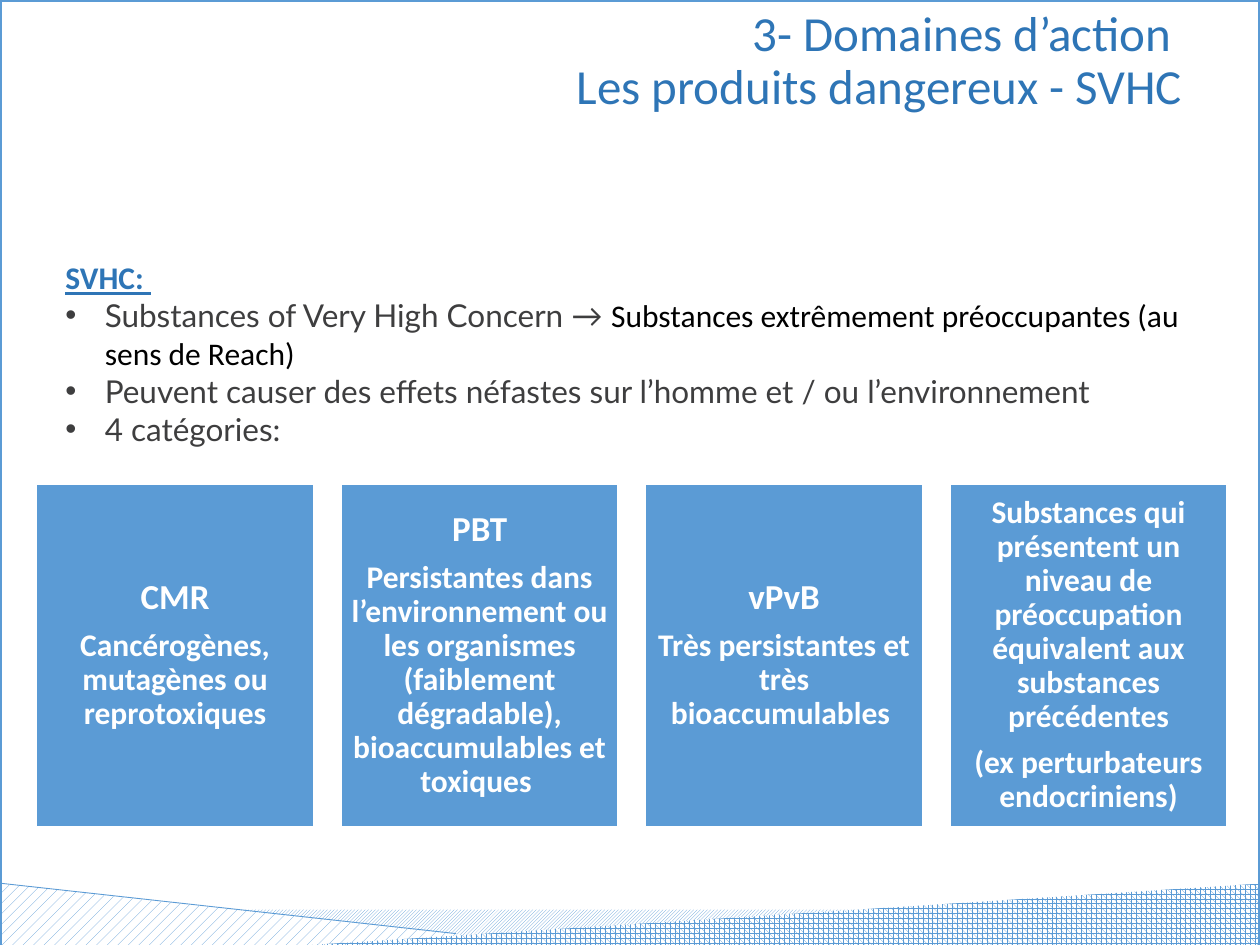
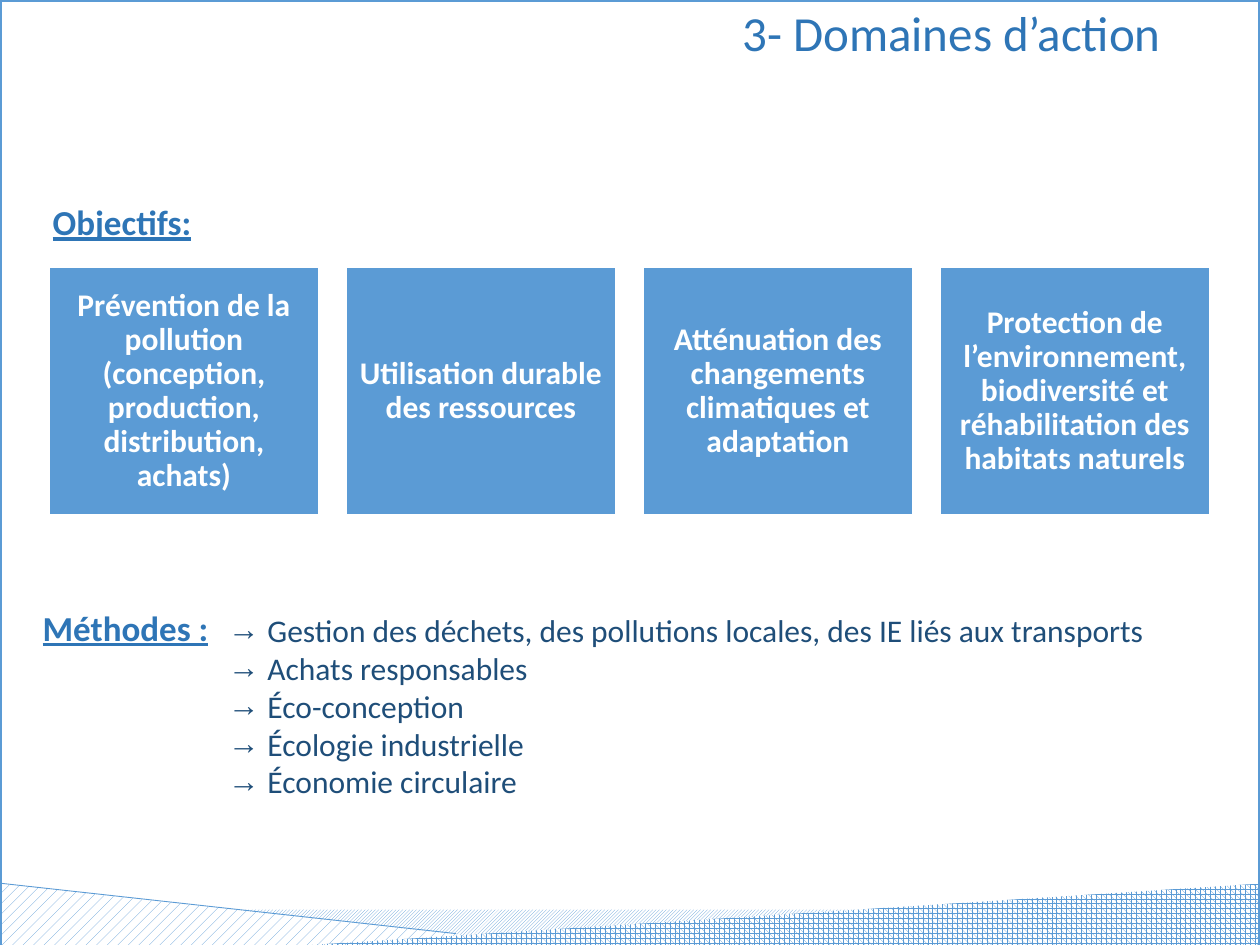
from lxml import etree
from pptx import Presentation
from pptx.dml.color import RGBColor
from pptx.enum.dml import MSO_PATTERN
from pptx.enum.shapes import MSO_CONNECTOR, MSO_SHAPE
from pptx.enum.text import MSO_ANCHOR, MSO_AUTO_SIZE, PP_ALIGN
from pptx.oxml.ns import qn
from pptx.util import Pt

RECT = MSO_SHAPE.RECTANGLE
STRAIGHT = MSO_CONNECTOR.STRAIGHT
UP_DIAGONAL = MSO_PATTERN.LIGHT_UPWARD_DIAGONAL
DOTS = MSO_PATTERN.PERCENT_20
SPHERES = MSO_PATTERN.SPHERE
TOP, MIDDLE = MSO_ANCHOR.TOP, MSO_ANCHOR.MIDDLE
NO_FIT = MSO_AUTO_SIZE.NONE
LEFT, CENTER, RIGHT = PP_ALIGN.LEFT, PP_ALIGN.CENTER, PP_ALIGN.RIGHT

BLUE = RGBColor(0x5B, 0x9B, 0xD5)
TITLE_BLUE = RGBColor(0x2E, 0x75, 0xB6)
DARK_BLUE = RGBColor(0x1F, 0x4E, 0x79)
GREY = RGBColor(0x3E, 0x3E, 0x3F)
BLACK = RGBColor(0, 0, 0)
WHITE = RGBColor(0xFF, 0xFF, 0xFF)
FONT, LIST_FONT = "Calibri", "Lato"
INDENT = Pt(22.5)


def set_bullet(p, char):
    """Give a paragraph a hanging bullet, or none when char is None."""
    pPr = p._p.get_or_add_pPr()
    indent = INDENT if char else 0
    pPr.set("marL", str(indent))
    pPr.set("indent", str(-indent))
    if char:
        etree.SubElement(pPr, qn("a:buFont")).set("typeface", "Arial")
        etree.SubElement(pPr, qn("a:buChar")).set("char", char)
    else:
        etree.SubElement(pPr, qn("a:buNone"))


def format_paragraph(p, size, color, font=FONT, align=LEFT, spacing=1.0,
                     after=0, bold=False, underline=False):
    p.alignment = align
    p.line_spacing = spacing
    p.space_before = Pt(0)
    p.space_after = Pt(after)
    for r in p.runs:
        r.font.size = Pt(size)
        r.font.name = font
        r.font.color.rgb = color
        r.font.bold = bold
        r.font.underline = underline


prs = Presentation()
prs.slide_width, prs.slide_height = Pt(720), Pt(540)

# Title, its box, list box, cards (left, top, width, height, step) and texts
SLIDES = [
    ("3- Domaines d’action \vLes produits dangereux - SVHC",
     (49.7, 1.4, 632.9, 88.6), (30.2, 144, 660.2, 116.6),
     (20.9, 276.5, 158.4, 195.8, 174), 5.6,
     [[("CMR", 20), ("Cancérogènes, mutagènes ou reprotoxiques", 18)],
      [("PBT", 20), ("Persistantes dans l’environnement ou les organismes "
                     "(faiblement dégradable), bioaccumulables et toxiques ", 18)],
      [("vPvB", 20), ("Très persistantes et très bioaccumulables ", 18)],
      [("Substances qui présentent un niveau de préoccupation équivalent "
        "aux substances précédentes", 18),
       ("(ex perturbateurs endocriniens)", 18)]]),
    ("3- Domaines d’action",
     (49.7, 1.4, 620.6, 83.5), (123.1, 345.6, 596.9, 116.6),
     (28.1, 152.6, 154.1, 141.8, 169.7), 5.2,
     [[("Prévention de la pollution (conception, production, "
        "distribution, achats)", 18)],
      [("Utilisation durable des ressources", 18)],
      [("Atténuation des changements climatiques et adaptation", 18)],
      [("Protection de l’environnement, biodiversité et réhabilitation "
        "des habitats naturels", 18)]]),
]

bodies = []
for title, title_box, list_box, grid, inset, cards in SLIDES:
    s = prs.slides.add_slide(prs.slide_layouts[1])
    body = s.placeholders[1]
    for sp, box in ((s.shapes.title, title_box), (body, list_box)):
        sp.left, sp.top, sp.width, sp.height = [Pt(v) for v in box]
        sp.text_frame.auto_size = NO_FIT
        sp.text_frame.vertical_anchor = TOP
    s.shapes.title.text_frame.text = title
    format_paragraph(s.shapes.title.text_frame.paragraphs[0], 28, TITLE_BLUE,
                     align=RIGHT, spacing=0.9)
    bodies.append(body)

    left, top, width, height, step = grid
    for i, lines in enumerate(cards):
        sp = s.shapes.add_shape(RECT, Pt(left + i * step), Pt(top),
                                Pt(width), Pt(height))
        sp.shadow.inherit = False
        sp.fill.solid()
        sp.fill.fore_color.rgb = BLUE
        sp.line.color.rgb = WHITE
        sp.line.width = Pt(1)
        tf = sp.text_frame
        tf.word_wrap = True
        tf.vertical_anchor = MIDDLE
        tf.margin_left = tf.margin_right = Pt(inset)
        tf.margin_top = tf.margin_bottom = Pt(inset)
        tf.text = "\n".join(text for text, size in lines)
        for p, (text, size) in zip(tf.paragraphs, lines):
            format_paragraph(p, size, WHITE, align=CENTER, spacing=0.9,
                             after=0.35 * size, bold=True)

# Slide 1: definition of SVHC
tf = bodies[0].text_frame
tf.text = ("SVHC: \nSubstances of Very High Concern → \n"
           "Peuvent causer des effets néfastes sur l’homme et / ou l’environnement\n"
           "4 catégories:")
heading, *points = tf.paragraphs
set_bullet(heading, None)
format_paragraph(heading, 18, TITLE_BLUE, bold=True, underline=True)
for p in points:
    set_bullet(p, "•")
    format_paragraph(p, 18, GREY, LIST_FONT)
r = points[0].add_run()
r.text = "Substances extrêmement préoccupantes (au sens de Reach)"
r.font.size, r.font.name = Pt(18), FONT
r.font.color.rgb = BLACK

# Slide 2: methods and section labels
tf = bodies[1].text_frame
tf.text = ("Gestion des déchets, des pollutions locales, des IE liés aux transports\n"
           "Achats responsables\nÉco-conception\nÉcologie industrielle\n"
           "Économie circulaire")
for p in tf.paragraphs:
    set_bullet(p, "→")
    format_paragraph(p, 18, DARK_BLUE)
for label, x, y, w in (("Objectifs:", 23, 113.8, 100),
                       ("Méthodes :", 17.3, 345.6, 122.4)):
    sp = prs.slides[1].shapes.add_textbox(Pt(x), Pt(y), Pt(w), Pt(33))
    sp.text_frame.text = label
    format_paragraph(sp.text_frame.paragraphs[0], 20, TITLE_BLUE, spacing=0.9,
                     bold=True, underline=True)

# Shared decoration: drawn once, then moved to the slide master
shapes = prs.slides[0].shapes
band = shapes.add_shape(RECT, Pt(93.6), Pt(519.8), Pt(472.3), Pt(21.7))
wedges = []
for start, *points in (
        [(0, 504.7), (314.6, 540), (308.2, 541.5), (0, 541.5)],
        [(163.4, 540.7), (719.3, 504.7), (720, 541.5), (157.7, 541.5)]):
    builder = shapes.build_freeform(*start, scale=Pt(1))
    builder.add_line_segments(points, close=True)
    wedges.append(builder.convert_to_shape())
for sp, pattern in zip([band] + wedges, (UP_DIAGONAL, DOTS, SPHERES)):
    sp.shadow.inherit = False
    sp.fill.patterned()
    sp.fill.pattern = pattern
    sp.fill.fore_color.rgb = BLUE
    sp.fill.back_color.rgb = WHITE
    sp.line.fill.background()

slope = shapes.add_connector(STRAIGHT, 0, Pt(504.7), Pt(260.6), Pt(533.5))
slope.line.color.rgb = BLUE
slope.line.width = Pt(0.5)
etree.SubElement(slope._element.spPr, qn("a:effectLst"))

frame = shapes.add_shape(RECT, 0, 0, Pt(720), Pt(541.5))
frame.shadow.inherit = False
frame.fill.background()
frame.line.color.rgb = BLUE
frame.line.width = Pt(2.25)

for i, sp in enumerate([band, *wedges, slope, frame]):
    sp._element.xpath(".//p:cNvPr")[0].set("id", str(100 + i))
    prs.slide_master.shapes._spTree.append(sp._element)

prs.save("out.pptx")
